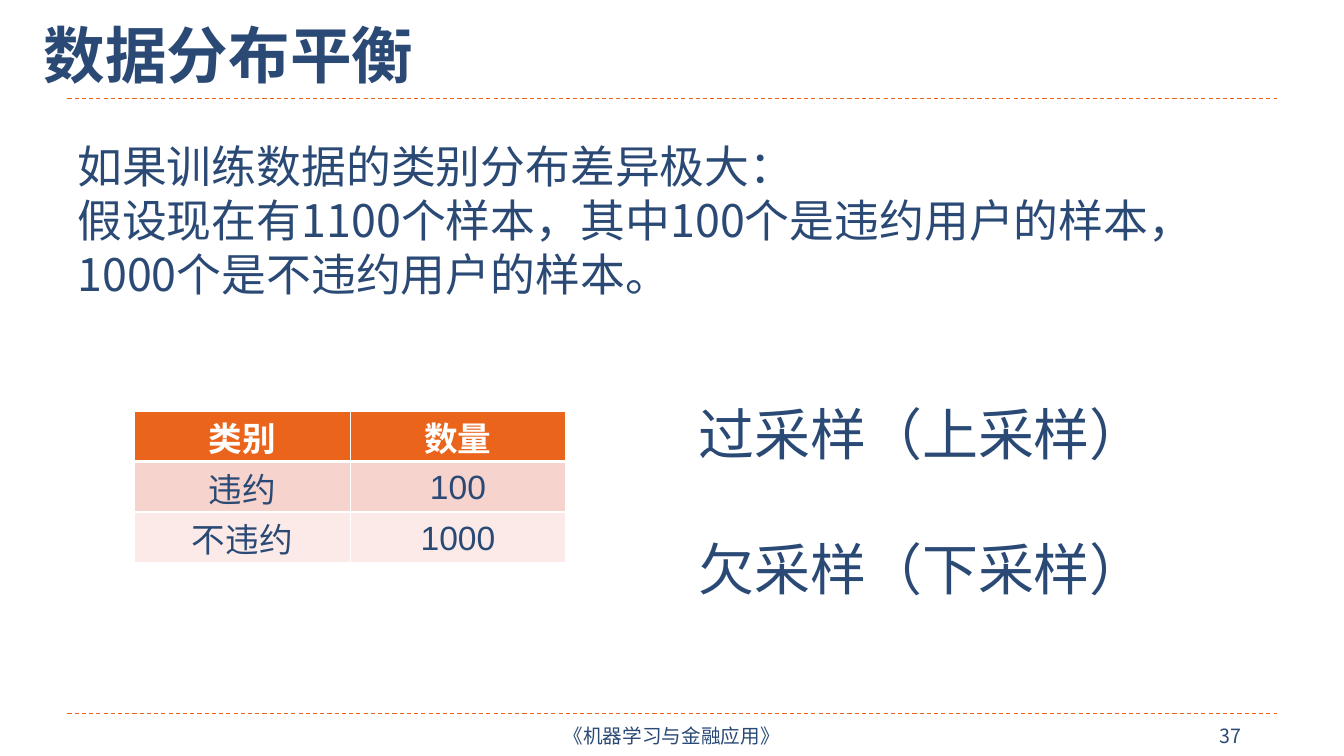
from lxml import etree
from pptx import Presentation
from pptx.dml.color import RGBColor
from pptx.enum.dml import MSO_LINE
from pptx.enum.shapes import MSO_CONNECTOR
from pptx.enum.text import MSO_ANCHOR, MSO_AUTO_SIZE, PP_ALIGN
from pptx.oxml.ns import qn
from pptx.util import Cm, Pt

NAVY = RGBColor(0x2A, 0x4A, 0x75)
ORANGE = RGBColor(0xEB, 0x64, 0x1B)
ROSE = RGBColor(0xF7, 0xD3, 0xCD)
BLUSH = RGBColor(0xFB, 0xEA, 0xE8)
WHITE = RGBColor(0xFF, 0xFF, 0xFF)

SANS = "Noto Sans CJK SC"
LATIN = "Arial"
LEFT, CENTER = PP_ALIGN.LEFT, PP_ALIGN.CENTER
TOP, MIDDLE, BOTTOM = MSO_ANCHOR.TOP, MSO_ANCHOR.MIDDLE, MSO_ANCHOR.BOTTOM
NO_FIT = MSO_AUTO_SIZE.NONE
STRAIGHT = MSO_CONNECTOR.STRAIGHT
DASH = MSO_LINE.DASH

ROWS = [("类别", "数量"), ("违约", "100"), ("不违约", "1000")]
FILLS = [ORANGE, ROSE, BLUSH]


def style(para, size, font=SANS, color=NAVY, bold=False, align=LEFT):
    """Format a paragraph, with a line pitch of 1.2 times the size."""
    para.alignment = align
    para.line_spacing = Pt(size * 1.2)
    para.space_before = Pt(0)
    para.font.size = Pt(size)
    para.font.name = font
    para.font.bold = bold
    para.font.color.rgb = color
    props = para._p.pPr.find(qn("a:defRPr"))
    etree.SubElement(props, qn("a:ea"), typeface=SANS)


def write(frame, lines, size, gap=0, anchor=TOP, wrap=True, **look):
    frame.text = "\n".join(lines)
    frame.auto_size = NO_FIT
    frame.word_wrap = wrap
    frame.vertical_anchor = anchor
    for i, para in enumerate(frame.paragraphs):
        style(para, size, **look)
        if i:
            para.space_before = Pt(gap)


def add_text(slide, box, lines, size, **look):
    frame = slide.shapes.add_textbox(*box).text_frame
    write(frame, lines, size, **look)
    return frame


def add_title(slide, box, text):
    title = slide.shapes.title
    title.left, title.top, title.width, title.height = box
    write(title.text_frame, [text], 44, wrap=False, bold=True)


def add_rule(slide, left, top, width):
    rule = slide.shapes.add_connector(STRAIGHT, left, top, left + width, top)
    rule.line.color.rgb = ORANGE
    rule.line.width = Pt(0.75)
    rule.line.dash_style = DASH
    etree.SubElement(rule._element.spPr, qn("a:effectLst"))


def add_edge(cell, side, width):
    props = cell._tc.get_or_add_tcPr()
    edge = etree.SubElement(props, qn("a:ln" + side), w=str(Pt(width)))
    fill = etree.SubElement(edge, qn("a:solidFill"))
    etree.SubElement(fill, qn("a:srgbClr"), val=str(WHITE))


def add_counts(slide, box):
    table = slide.shapes.add_table(len(ROWS), len(ROWS[0]), *box).table
    for r, row in enumerate(ROWS):
        table.rows[r].height = box[3] // len(ROWS)
        head = r == 0
        for c, text in enumerate(row):
            cell = table.cell(r, c)
            number = text.isdigit()
            cell.text = text
            style(cell.text_frame.paragraphs[0], 24, LATIN,
                  WHITE if head else NAVY, head, CENTER)
            cell.vertical_anchor = TOP if number else BOTTOM
            if not number:
                cell.margin_bottom = 0
            for side in "LRTB":
                thick = (head and side == "B") or (r == 1 and side == "T")
                add_edge(cell, side, 3 if thick else 1)
            cell.fill.solid()
            cell.fill.fore_color.rgb = FILLS[r]


def add_footer(slide, left, top, width):
    add_rule(slide, left, top, width)
    box = left + Cm(9.73), top + Cm(0.05), Cm(11), Cm(1.02)
    name = add_text(slide, box, ["《机器学习与金融应用》"], 14,
                    anchor=MIDDLE, align=CENTER)
    name.margin_left = name.margin_right = 0
    name.margin_top = name.margin_bottom = 0
    box = left + Cm(28.78), top + Cm(0.13), Cm(1.6), Cm(0.86)
    add_text(slide, box, ["37"], 14, anchor=MIDDLE)


def main():
    deck = Presentation()
    deck.slide_width, deck.slide_height = Cm(33.87), Cm(19.05)
    slide = deck.slides.add_slide(deck.slide_layouts[5])
    edge, span = Cm(1.7), Cm(30.48)
    add_rule(slide, edge, Cm(2.48), span)
    add_footer(slide, edge, Cm(17.98), span)
    add_text(slide, (edge, Cm(3.38), Cm(30), Cm(4.37)), [
        "如果训练数据的类别分布差异极大：",
        "假设现在有1100个样本，其中100个是违约用户的样本，"
        "1000个是不违约用户的样本。",
    ], 32)
    add_title(slide, (Cm(0.85), Cm(0.3), Cm(9.9), Cm(2.14)), "数据分布平衡")
    add_counts(slide, (Cm(3.39), Cm(10.36), Cm(10.87), Cm(3.81)))
    add_text(slide, (Cm(17.35), Cm(9.95), Cm(11.86), Cm(5.38)),
             ["过采样（上采样）", "欠采样（下采样）"], 40, gap=48, font=LATIN)
    deck.save("out.pptx")


if __name__ == "__main__":
    main()
